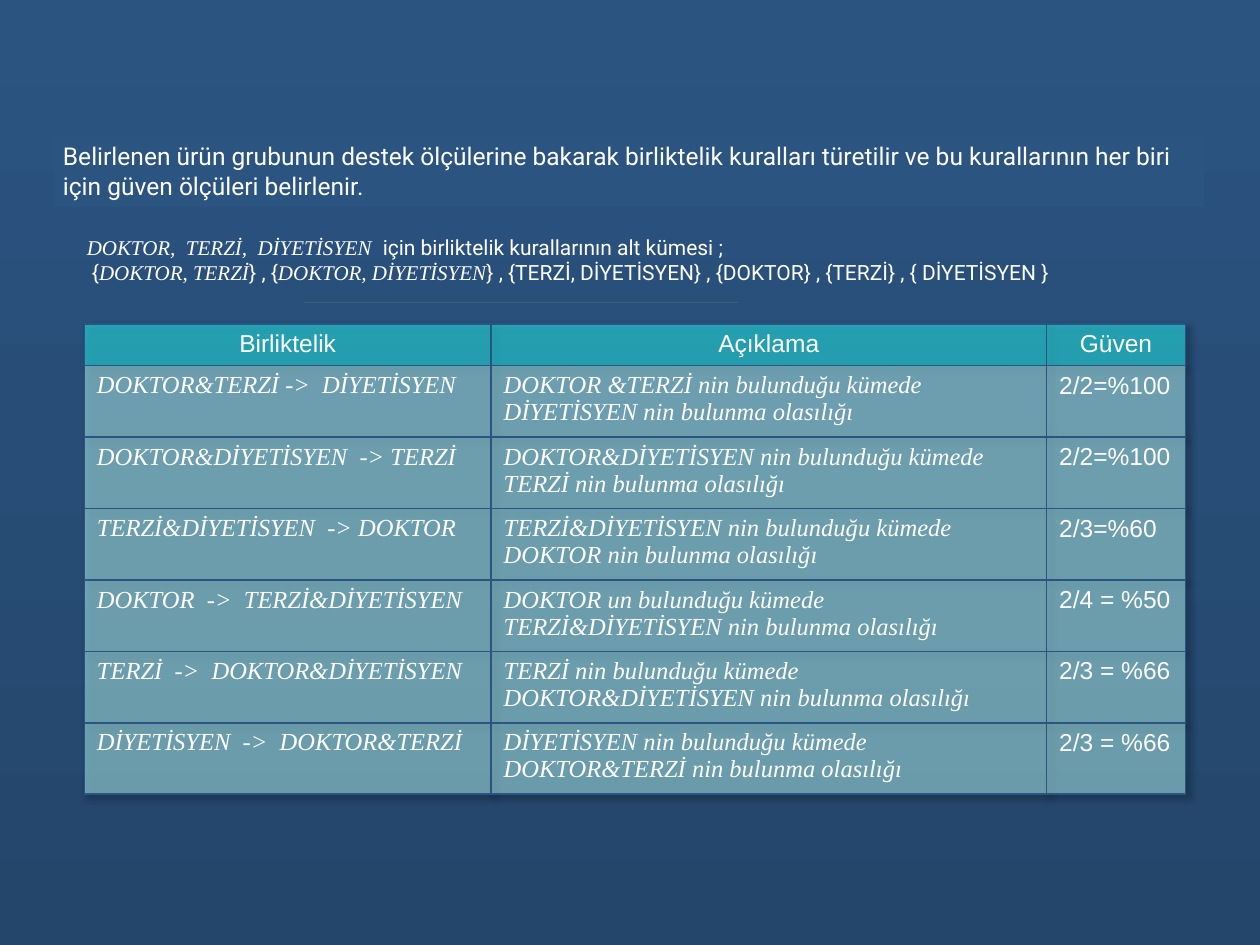
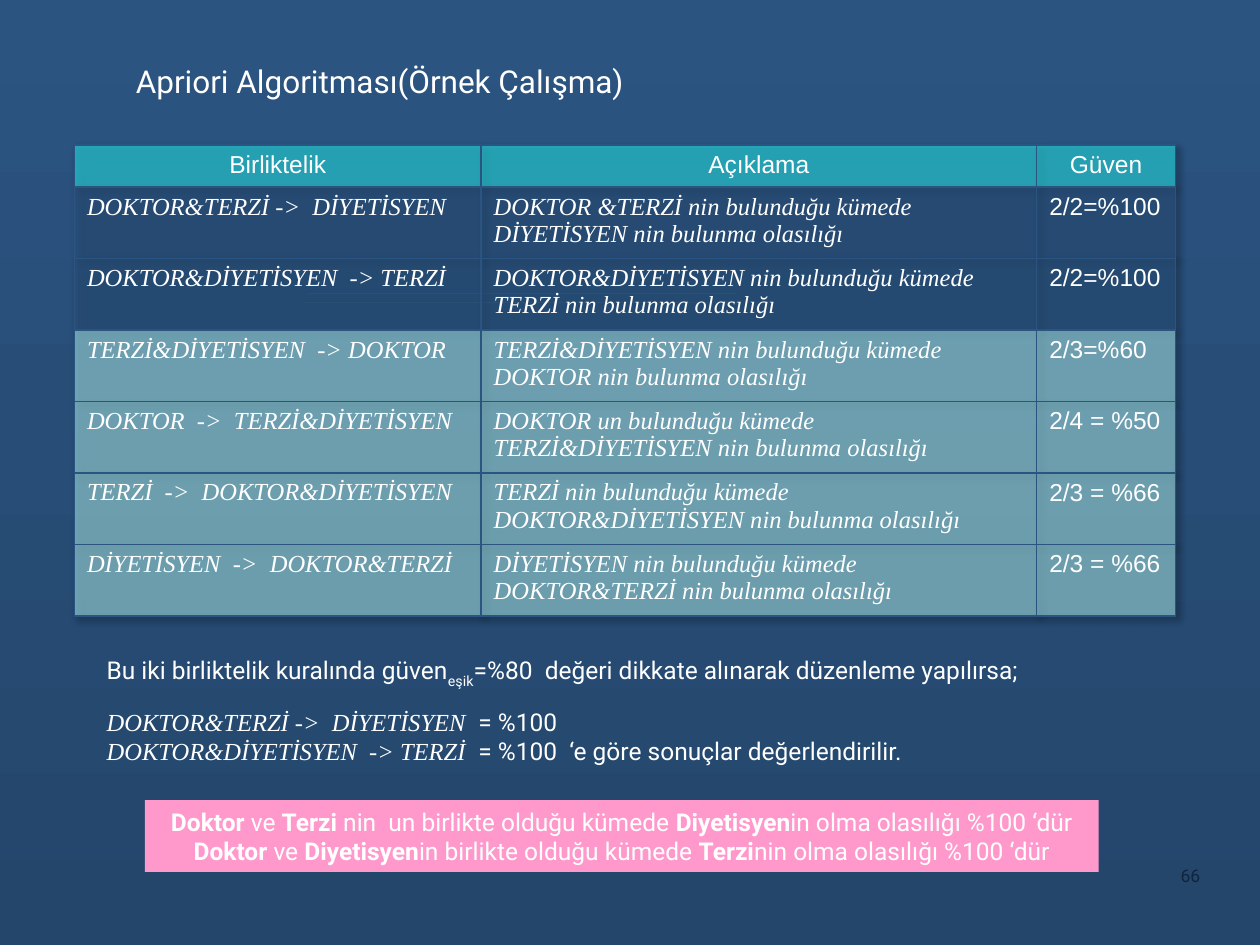
import pptx
import pptx.dml.color
import pptx.enum.shapes
import pptx.enum.text
import pptx.oxml
import pptx.oxml.ns
import pptx.util
from pptx.util import Cm

ALIGN = pptx.enum.text.PP_ALIGN
ANCHOR = pptx.enum.text.MSO_ANCHOR
RECTANGLE = pptx.enum.shapes.MSO_SHAPE.RECTANGLE
NAMESPACE = pptx.oxml.ns.nsdecls("a")

THEME = {
    "colours": {
        "navy": "2B5481", "navy_end": "24466B", "header": "29FFFF",
        "row": "B8FFFF", "pink": "FF99CC", "rule": "C0C0C0",
        "text": "FFFFFF", "number": "10233F",
    },
    "sizes": {"title": 18, "body": 14, "note": 12, "number": 10},
    "fonts": {
        "plain": {"name": "Roboto", "italic": False},
        "bold": {"name": "Roboto", "bold": True},
        "italic": {"name": "Times New Roman", "italic": True},
        "cell": {"name": "Arial", "italic": False},
        "subscript": {"name": "Roboto"},
    },
}
COLOURS = {name: pptx.dml.color.RGBColor.from_string(value)
           for name, value in THEME["colours"].items()}


def write(frame, paragraphs, size="body", colour="text", align=ALIGN.LEFT):
    """Write paragraphs, each a list of (text, font style) runs."""
    frame.word_wrap = True
    for index, runs in enumerate(paragraphs):
        paragraph = frame.paragraphs[0] if index == 0 else frame.add_paragraph()
        paragraph.alignment = align
        for text, style in runs:
            run = paragraph.add_run()
            run.text = text
            values = THEME["fonts"][style] | {"size": pptx.util.Pt(THEME["sizes"][size])}
            for attribute, value in values.items():
                setattr(run.font, attribute, value)
            run.font.color.rgb = COLOURS[colour]
            if style == "subscript":
                run.font._element.set("baseline", "-25000")


def add_box(slide, box, fill=None):
    """Add a filled rectangle, or a text box when there is no fill."""
    lengths = [Cm(length) for length in box]
    if fill is None:
        shape = slide.shapes.add_textbox(*lengths)
    else:
        shape = slide.shapes.add_shape(RECTANGLE, *lengths)
        shape.shadow.inherit = False
        shape.fill.solid()
        shape.fill.fore_color.rgb = COLOURS[fill]
        shape.line.fill.background()
    shape.text_frame.vertical_anchor = ANCHOR.MIDDLE
    return shape


# Rules of the association table
HEADINGS = ["Birliktelik", "Açıklama", "Güven"]
ASSOCIATIONS = [
    ("DOKTOR&TERZİ ->  DİYETİSYEN",
     "DOKTOR &TERZİ nin bulunduğu kümede DİYETİSYEN nin bulunma olasılığı", "2/2=%100"),
    ("DOKTOR&DİYETİSYEN  -> TERZİ",
     "DOKTOR&DİYETİSYEN nin bulunduğu kümede TERZİ nin bulunma olasılığı", "2/2=%100"),
    ("TERZİ&DİYETİSYEN  -> DOKTOR",
     "TERZİ&DİYETİSYEN nin bulunduğu kümede DOKTOR nin bulunma olasılığı", "2/3=%60"),
    ("DOKTOR  ->  TERZİ&DİYETİSYEN",
     "DOKTOR un bulunduğu kümede TERZİ&DİYETİSYEN nin bulunma olasılığı", "2/4 = %50"),
    ("TERZİ  ->  DOKTOR&DİYETİSYEN",
     "TERZİ nin bulunduğu kümede DOKTOR&DİYETİSYEN nin bulunma olasılığı", "2/3 = %66"),
    ("DİYETİSYEN  ->  DOKTOR&TERZİ",
     "DİYETİSYEN nin bulunduğu kümede DOKTOR&TERZİ nin bulunma olasılığı", "2/3 = %66"),
]
COLUMN_WIDTHS = [8.2, 11.2, 2.8]
HEADER_HEIGHT, ROW_HEIGHT = 0.84, 1.44

# What differs between the slides: thin rules, table place, highlighted rows
LAYOUTS = [
    {"rules": [(6.12, 6.1, 8.76, 0)], "table": (1.7, 6.53), "highlighted": 0},
    {"rules": [(6.12, 6.1, 8.76, 0), (6.2, 5.92, 8.66, 0)],
     "table": (1.5, 2.92), "highlighted": 2},
]

presentation = pptx.Presentation()
presentation.slide_width = Cm(25.4)
presentation.slide_height = Cm(19.05)

slides = []
for layout in LAYOUTS:
    slide = presentation.slides.add_slide(presentation.slide_layouts[6])
    slides.append(slide)

    # Background
    background = slide.background.fill
    background.gradient()
    background.gradient_angle = 270
    for stop, name in zip(background.gradient_stops, ["navy", "navy_end"]):
        stop.color.rgb = COLOURS[name]

    # Thin rules
    for rule in layout["rules"]:
        add_box(slide, rule, "rule")

    # Table frame
    left, top = layout["table"]
    height = HEADER_HEIGHT + ROW_HEIGHT * len(ASSOCIATIONS)
    table = slide.shapes.add_table(
        len(ASSOCIATIONS) + 1, len(HEADINGS),
        Cm(left), Cm(top), Cm(sum(COLUMN_WIDTHS)), Cm(height)).table
    table.first_row = table.horz_banding = False
    table._tbl.tblPr.insert(0, pptx.oxml.parse_xml(
        f'<a:effectLst {NAMESPACE}><a:outerShdw blurRad="50800" dist="38100" '
        'dir="2700000" algn="tl" rotWithShape="0"><a:srgbClr val="000000">'
        '<a:alpha val="40000"/></a:srgbClr></a:outerShdw></a:effectLst>'))
    for column, width in zip(table.columns, COLUMN_WIDTHS):
        column.width = Cm(width)

    # Table cells
    for row_index, texts in enumerate([HEADINGS, *ASSOCIATIONS]):
        is_header = row_index == 0
        table.rows[row_index].height = Cm(HEADER_HEIGHT if is_header else ROW_HEIGHT)
        if is_header:
            fill = "header"
        else:
            fill = "navy" if row_index <= layout["highlighted"] else "row"
        for column_index, text in enumerate(texts):
            cell = table.cell(row_index, column_index)
            style = "cell" if is_header or column_index == 2 else "italic"
            write(cell.text_frame, [[(text, style)]],
                  align=ALIGN.CENTER if is_header else ALIGN.LEFT)
            cell.fill.solid()
            cell.fill.fore_color.rgb = COLOURS[fill]
            properties = cell._tc.get_or_add_tcPr()
            colour = properties.find(".//" + pptx.oxml.ns.qn("a:srgbClr"))
            colour.append(pptx.oxml.parse_xml(f'<a:alpha {NAMESPACE} val="50000"/>'))
            for position, side in enumerate("LRTB"):
                properties.insert(position, pptx.oxml.parse_xml(
                    f'<a:ln{side} {NAMESPACE} w="12700"><a:solidFill>'
                    f'<a:srgbClr val="{THEME["colours"]["navy"]}"/>'
                    f'</a:solidFill></a:ln{side}>'))

rules_slide, result_slide = slides

# Slide 1: introduction and subsets
introduction = add_box(rules_slide, (1.09, 2.72, 23.19, 1.45), "navy")
introduction.text_frame.margin_left = Cm(0.18)
write(introduction.text_frame, [[
    ("Belirlenen ürün grubunun destek ölçülerine bakarak birliktelik kuralları "
     "türetilir ve bu kurallarının her biri için güven ölçüleri belirlenir.", "plain")]])
subsets = add_box(rules_slide, (1.5, 4.6, 21.29, 1.27))
write(subsets.text_frame, [
    [("DOKTOR,  TERZİ,  DİYETİSYEN  ", "italic"),
     ("için birliktelik kurallarının alt kümesi ;", "plain")],
    [(" {", "plain"), ("DOKTOR, TERZİ", "italic"), ("} , {", "plain"),
     ("DOKTOR, DİYETİSYEN", "italic"),
     ("} , {TERZİ, DİYETİSYEN} , {DOKTOR} , {TERZİ} , { DİYETİSYEN }", "plain")],
], size="note")

# Slide 2: title, threshold and remaining rules
title = add_box(result_slide, (2.49, 1.12, 13.59, 1.02))
write(title.text_frame, [[("Apriori Algoritması(Örnek Çalışma)", "plain")]], size="title")
threshold = add_box(result_slide, (1.9, 13.13, 22.4, 0.84))
write(threshold.text_frame, [[
    ("Bu iki birliktelik kuralında güven", "plain"), ("eşik", "subscript"),
    ("=%80  değeri dikkate alınarak düzenleme yapılırsa;", "plain")]])
remaining = add_box(result_slide, (1.9, 14.12, 18.52, 1.45))
write(remaining.text_frame, [
    [("DOKTOR&TERZİ ->  DİYETİSYEN  ", "italic"), ("= %100", "plain")],
    [("DOKTOR&DİYETİSYEN  -> TERZİ  ", "italic"),
     ("= %100  ‘e göre sonuçlar değerlendirilir.", "plain")],
])

# Slide 2: conclusion and slide number
conclusion = add_box(result_slide, (2.92, 16.13, 19.23, 1.45), "pink")
write(conclusion.text_frame, [
    [("Doktor", "bold"), (" ve ", "plain"), ("Terzi ", "bold"),
     ("nin  un birlikte olduğu kümede ", "plain"), ("Diyetisyen", "bold"),
     ("in olma olasılığı %100 ‘dür", "plain")],
    [("Doktor ", "bold"), ("ve ", "plain"), ("Diyetisyen", "bold"),
     ("in birlikte olduğu kümede ", "plain"), ("Terzi", "bold"),
     ("nin olma olasılığı %100 ‘dür", "plain")],
], align=ALIGN.CENTER)
number = add_box(result_slide, (23.2, 17.3, 1.6, 0.7))
write(number.text_frame, [[("66", "plain")]], size="number", colour="number",
      align=ALIGN.CENTER)

presentation.save("out.pptx")
